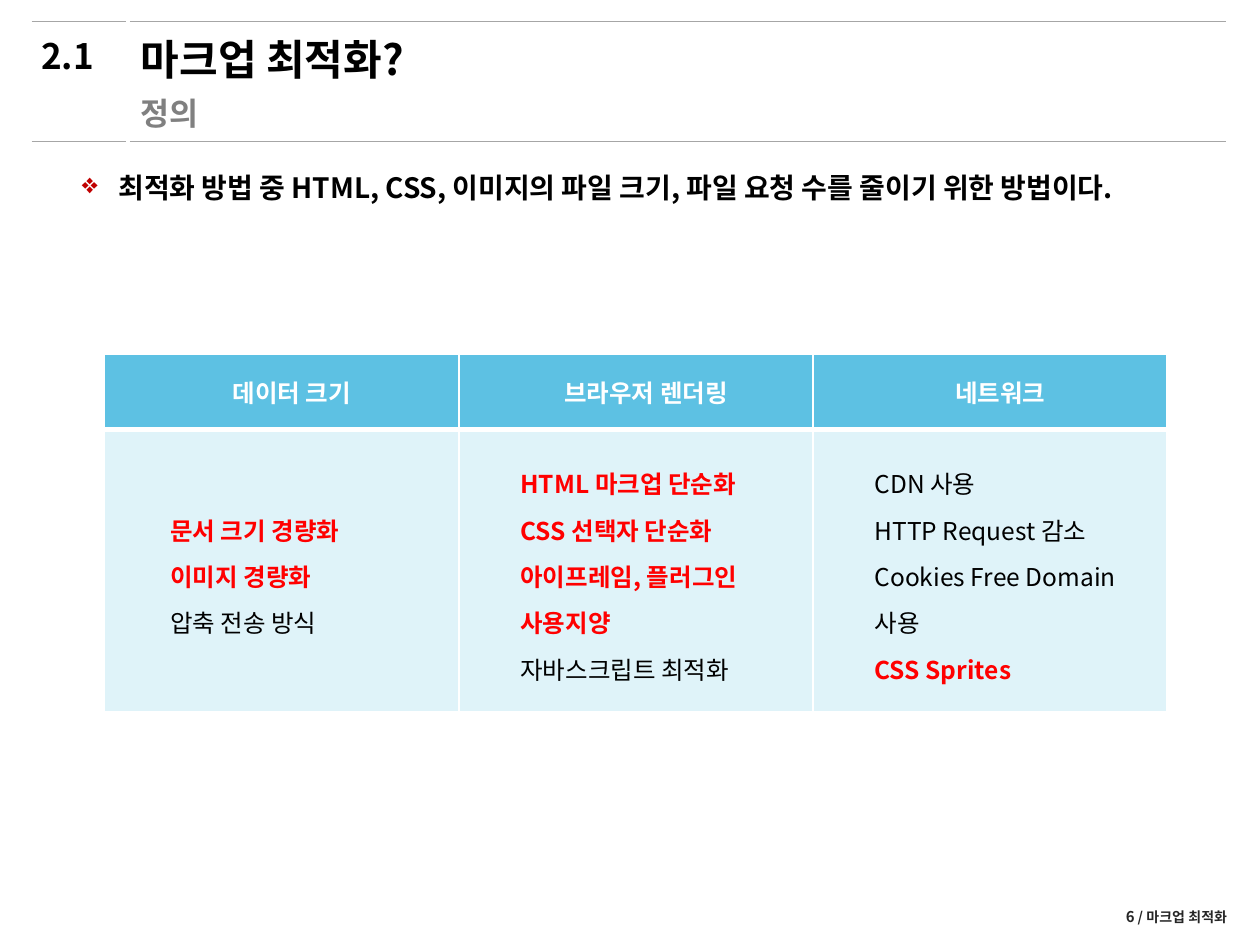
from lxml import etree
from pptx import Presentation
from pptx.dml.color import RGBColor
from pptx.enum.shapes import MSO_CONNECTOR
from pptx.enum.text import MSO_ANCHOR, PP_ALIGN
from pptx.oxml.ns import qn
from pptx.util import Cm, Pt

STRAIGHT = MSO_CONNECTOR.STRAIGHT
TOP, MIDDLE = MSO_ANCHOR.TOP, MSO_ANCHOR.MIDDLE
LEFT, CENTER, RIGHT = PP_ALIGN.LEFT, PP_ALIGN.CENTER, PP_ALIGN.RIGHT
FONT = "Noto Sans CJK KR"
COLORS = {
    "black": "000000", "white": "FFFFFF", "gray": "808080", "footer": "262626",
    "rule": "A6A6A6", "bullet": "C00000", "accent": "FF0000",
    "header": "5DC1E3", "body": "DFF3F9",
}

# left, top, width, height in cm; anchor; alignment; runs of (text, size, colour)
TEXTS = {
    "footer": ((17.27, 18.14, 7.72, 0.69), MIDDLE, RIGHT,
               [("6", 8.5, "footer"), (" / 마크업 최적화", 8, "footer")]),
    "title": ((2.59, 0.58, 21.54, 1.22), MIDDLE, LEFT,
              [("마크업 최적화?", 24, "black")]),
    "subtitle": ((2.59, 1.78, 12.9, 0.99), TOP, LEFT, [("정의", 18, "gray")]),
    "definition": ((1.4, 2.97, 22.63, 13.49), TOP, LEFT,
                   [("최적화 방법 중 HTML, CSS, 이미지의 파일 크기, "
                     "파일 요청 수를 줄이기 위한 방법이다.", 16, "black")]),
    "section": ((0.58, 0.58, 1.78, 1.19), TOP, LEFT, [("2.1", 20, "black")]),
}
RULE_SPANS = [(0.64, 2.54), (2.62, 24.71)]
RULE_TOPS = [0.43, 2.84]

# heading, left margin in cm, lines of (text, highlighted)
COLUMNS = [
    ("데이터 크기", 1.27, [
        ("문서 크기 경량화", True), ("이미지 경량화", True), ("압축 전송 방식", False)]),
    ("브라우저 렌더링", 1.19, [
        ("HTML 마크업 단순화", True), ("CSS 선택자 단순화", True),
        ("아이프레임, 플러그인 사용지양", True), ("자바스크립트 최적화", False)]),
    ("네트워크", 1.19, [
        ("CDN 사용", False), ("HTTP Request 감소", False),
        ("Cookies Free Domain 사용", False), ("CSS Sprites", True)]),
]
TABLE_LEFT, TABLE_TOP, COLUMN_WIDTH = 2.11, 7.14, 7.14
ROW_HEIGHTS = [1.52, 5.68]


def rgb(name):
    return RGBColor.from_string(COLORS[name])


def add_run(para, text, size, color, bold=True):
    span = para.add_run()
    span.text = text
    font = span.font
    font.name, font.size, font.bold = FONT, Pt(size), bold
    font.color.rgb = rgb(color)
    # East Asian text takes its typeface from a separate element
    etree.SubElement(font._element, qn("a:ea"), typeface=FONT)


def add_text(page, place, anchor, align, runs):
    box = page.shapes.add_textbox(*map(Cm, place))
    frame = box.text_frame
    frame.word_wrap = True
    frame.vertical_anchor = anchor
    para = frame.paragraphs[0]
    para.alignment = align
    for run in runs:
        add_run(para, *run)
    return para


def add_bullet(para, symbol, color, indent):
    props = para._p.get_or_add_pPr()
    props.set("marL", str(Cm(indent)))
    props.set("indent", str(-Cm(indent)))
    bullet_color = etree.SubElement(props, qn("a:buClr"))
    etree.SubElement(bullet_color, qn("a:srgbClr"), val=COLORS[color])
    etree.SubElement(props, qn("a:buChar"), char=symbol)


def add_rule(page, start, end, top):
    rule = page.shapes.add_connector(STRAIGHT, Cm(start), Cm(top), Cm(end), Cm(top))
    rule.line.color.rgb = rgb("rule")
    rule.line.width = Pt(0.25)
    etree.SubElement(rule._element.spPr, qn("a:effectLst"))


def style_cell(cell, fill, top, bottom):
    """Set anchor, margins, white borders (widths in points) and fill."""
    cell.vertical_anchor = MIDDLE
    cell.margin_left = cell.margin_right = Cm(0.05)
    cell.margin_top = cell.margin_bottom = 0
    props = cell._tc.get_or_add_tcPr()
    for side, width in (("L", 1), ("R", 1), ("T", top), ("B", bottom)):
        border = etree.SubElement(props, qn(f"a:ln{side}"), w=str(Pt(width)))
        solid = etree.SubElement(border, qn("a:solidFill"))
        etree.SubElement(solid, qn("a:srgbClr"), val=COLORS["white"])
    cell.fill.solid()
    cell.fill.fore_color.rgb = rgb(fill)


def add_methods_table(page):
    table = page.shapes.add_table(
        len(ROW_HEIGHTS), len(COLUMNS), Cm(TABLE_LEFT), Cm(TABLE_TOP),
        Cm(COLUMN_WIDTH * len(COLUMNS)), Cm(sum(ROW_HEIGHTS))).table
    table.first_row = table.horz_banding = False
    for row, height in zip(table.rows, ROW_HEIGHTS):
        row.height = Cm(height)
    for index, (heading, margin, lines) in enumerate(COLUMNS):
        table.columns[index].width = Cm(COLUMN_WIDTH)
        header, body = table.cell(0, index), table.cell(1, index)
        style_cell(header, "header", 1, 3)
        para = header.text_frame.paragraphs[0]
        para.alignment = CENTER
        para._p.get_or_add_pPr().set("indent", str(Cm(0.41)))
        add_run(para, heading, 14, "white")

        style_cell(body, "body", 3, 1)
        frame = body.text_frame
        for number, (text, highlighted) in enumerate(lines):
            para = frame.add_paragraph() if number else frame.paragraphs[0]
            para.line_spacing = 1.3
            para._p.get_or_add_pPr().set("marL", str(Cm(margin)))
            add_run(para, text, 14, "accent" if highlighted else "black", highlighted)


def main():
    deck = Presentation()
    deck.slide_width, deck.slide_height = Cm(25.4), Cm(19.05)
    page = deck.slides.add_slide(deck.slide_layouts[6])
    for top in RULE_TOPS:
        for start, end in RULE_SPANS:
            add_rule(page, start, end, top)
    paras = {name: add_text(page, *text) for name, text in TEXTS.items()}
    add_bullet(paras["definition"], "❖", "bullet", 0.74)
    paras["definition"].line_spacing = 1.5
    add_methods_table(page)
    deck.save("out.pptx")


if __name__ == "__main__":
    main()
